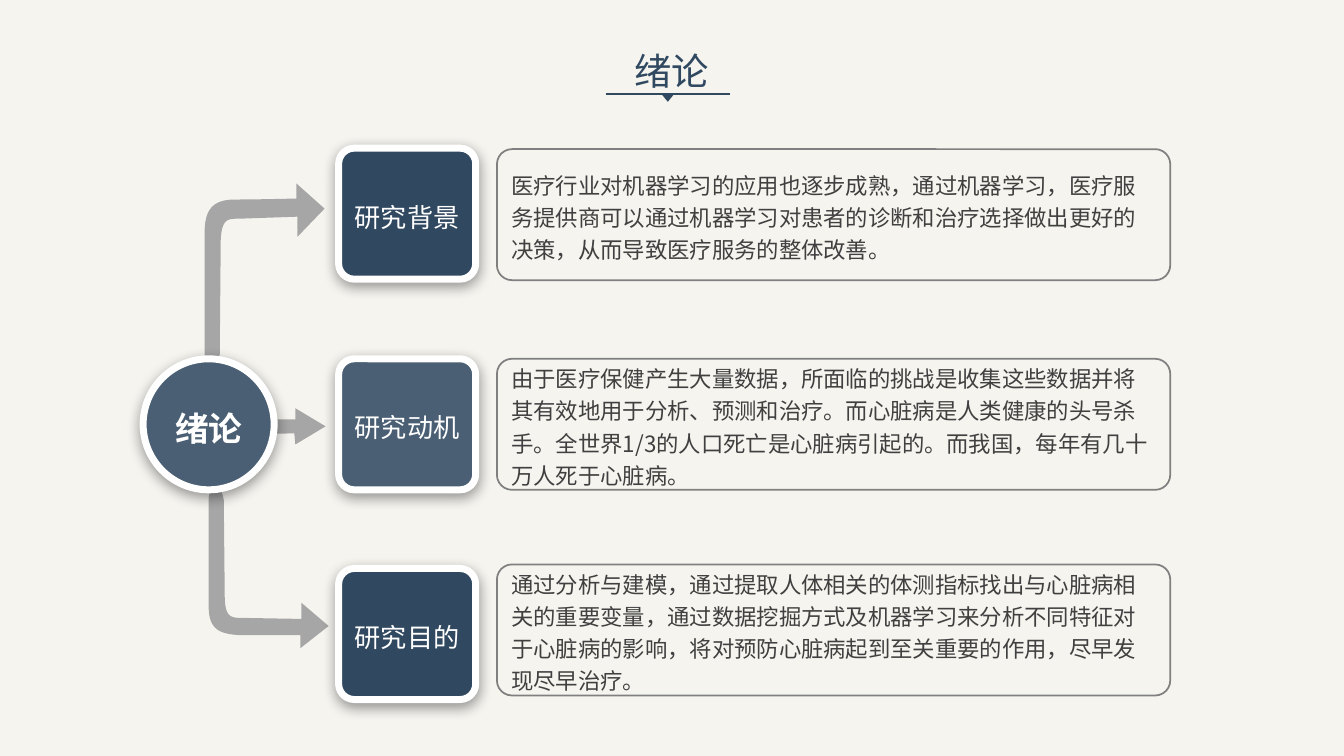
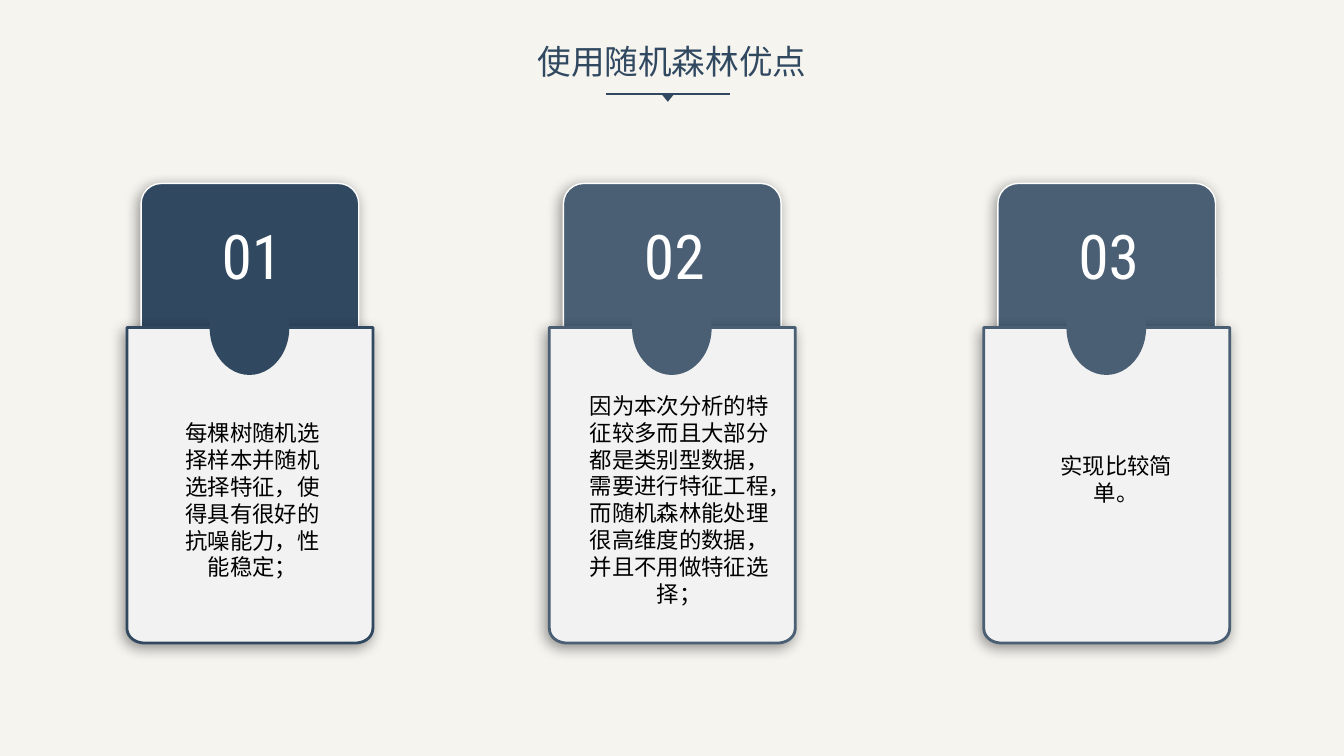
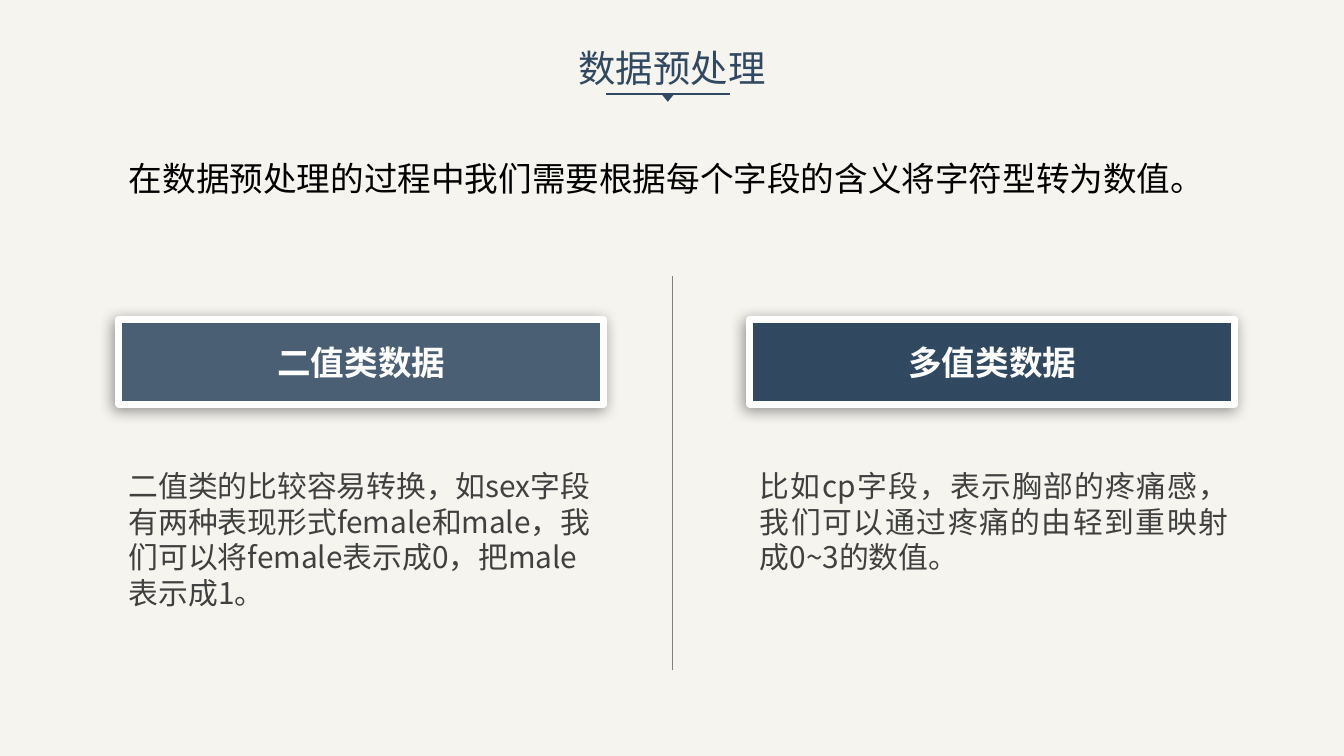
from lxml.etree import SubElement
from pptx import Presentation
from pptx.dml.color import RGBColor
from pptx.enum.shapes import MSO_CONNECTOR, MSO_SHAPE
from pptx.enum.text import MSO_ANCHOR, MSO_AUTO_SIZE, PP_ALIGN
from pptx.oxml.ns import qn
from pptx.util import Emu, Pt

COLUMNS, ROWS = 40, 22.5
CELL = 304800
NAVY, SLATE, GREY, ARROW_GREY = "304860", "4A5F74", "808080", "A6A6A6"
WHITE, BLACK, TEXT_GREY, PAPER, CARD_FILL = "FFFFFF", "000000", "404040", "F5F4EF", "F2F2F2"
CHINESE, NUMERALS, PLAIN = "Noto Sans CJK SC", "Roboto Condensed", "Calibri"
DOWN, DOWN_LEFT = 90, 135

TOP_ARROW = [
    (6.54, 10.59), (6.57, 7.14), (6.6, 6.51, 6.78, 6.51, 7.11, 6.51),
    (8.85, 6.45), (8.85, 7.05), (9.66, 6.21), (8.82, 5.46), (8.82, 5.91),
    (8.82, 5.91, 7.65, 5.94, 6.99, 5.94), (6.33, 5.94, 6.09, 6.24, 6.09, 6.93),
    (6.09, 10.65), (6.15, 11.25, 6.45, 11.19, 6.54, 10.59),
]
MIDDLE_ARROW = [
    (5.43, 12.96), (8.76, 12.9), (8.79, 13.23), (9.69, 12.69),
    (8.79, 12.15), (8.79, 12.48), (5.43, 12.48),
]
BOTTOM_ARROW = [
    (6.66, 14.88), (6.69, 17.85), (6.72, 18.39, 6.9, 18.39, 7.23, 18.39),
    (8.97, 18.42), (8.97, 17.94), (9.78, 18.63), (8.94, 19.29), (8.94, 18.9),
    (8.94, 18.9, 7.77, 18.9, 7.11, 18.9), (6.42, 18.87, 6.21, 18.63, 6.21, 18.03),
    (6.21, 14.82), (6.27, 14.31, 6.57, 14.34, 6.66, 14.88),
]
CARD_POCKET = [
    (0, 9.75), (7.32, 9.75), (7.32, 18.69), (7.32, 18.96, 7.08, 19.14, 6.78, 19.14),
    (0.54, 19.14), (0.24, 19.14, 0, 18.96, 0, 18.69),
]
TOPICS = [
    ("研究背景", NAVY, 4.41, 4.44,
     "医疗行业对机器学习的应用也逐步成熟，通过机器学习，医疗服务提供商可以通过机器学习对患者的诊断和治疗选择做出更好的决策，从而导致医疗服务的整体改善。"),
    ("研究动机", SLATE, 10.68, 10.68,
     "由于医疗保健产生大量数据，所面临的挑战是收集这些数据并将其有效地用于分析、预测和治疗。而心脏病是人类健康的头号杀手。全世界1/3的人口死亡是心脏病引起的。而我国，每年有几十万人死于心脏病。"),
    ("研究目的", NAVY, 16.92, 16.8,
     "通过分析与建模，通过提取人体相关的体测指标找出与心脏病相关的重要变量，通过数据挖掘方式及机器学习来分析不同特征对于心脏病的影响，将对预防心脏病起到至关重要的作用，尽早发现尽早治疗。"),
]
CARDS = [
    (3.78, NAVY, "01", (5.16, 12.33, 4.71, 5.16),
     "每棵树随机选择样本并随机选择特征，使得具有很好的抗噪能力，性能稳定；"),
    (16.35, SLATE, "02", (16.98, 11.52, 6.48, 6.78),
     "因为本次分析的特征较多而且大部分都是类别型数据，需要进行特征工程，而随机森林能处理很高维度的数据，并且不用做特征选择；"),
    (29.28, SLATE, "03", (31.02, 13.32, 4.41, 1.92), "实现比较简单。"),
]
DATA_KINDS = [
    (3.54, 14.34, SLATE, "二值类数据", PP_ALIGN.LEFT,
     "二值类的比较容易转换，如sex字段有两种表现形式female和male，我们可以将female表示成0，把male表示成1。"),
    (22.32, 14.55, NAVY, "多值类数据", PP_ALIGN.JUSTIFY,
     "比如cp字段，表示胸部的疼痛感，我们可以通过疼痛的由轻到重映射成0~3的数值。"),
]


def cells(*lengths):
    return [Emu(round(length * CELL)) for length in lengths]


def color(value):
    return RGBColor.from_string(value)


def write(shape, text, size, text_color, font=CHINESE, align=PP_ALIGN.LEFT,
          anchor=MSO_ANCHOR.TOP, bold=False, spacing=1.0):
    frame = shape.text_frame
    frame.text = text
    frame.word_wrap = True
    frame.auto_size = MSO_AUTO_SIZE.NONE
    frame.vertical_anchor = anchor
    paragraph = frame.paragraphs[0]
    paragraph.alignment = align
    paragraph.line_spacing = spacing
    paragraph.font.size = Pt(size)
    paragraph.font.bold = bold
    paragraph.font.color.rgb = color(text_color)
    paragraph.font.name = font
    defaults = paragraph._p.pPr.find(qn("a:defRPr"))
    SubElement(defaults, qn("a:ea")).set("typeface", CHINESE)


def paint(shape, fill=None, line=None, width=1, shadow=None):
    if fill:
        shape.fill.solid()
        shape.fill.fore_color.rgb = color(fill)
    else:
        shape.fill.background()
    if line:
        shape.line.color.rgb = color(line)
        shape.line.width = Pt(width)
    else:
        shape.line.fill.background()
    shape.shadow.inherit = False
    if shadow is not None:
        effects = shape.element.spPr.find(qn("a:effectLst"))
        outer = SubElement(effects, qn("a:outerShdw"), blurRad=str(Pt(10)), dist=str(Pt(3)),
                           dir=str(shadow * 60000), algn="ctr", rotWithShape="0")
        tint = SubElement(outer, qn("a:srgbClr"), val=BLACK)
        SubElement(tint, qn("a:alpha"), val="40000")


def add_preset(shapes, kind, box, corner=None, **style):
    shape = shapes.add_shape(kind, *cells(*box))
    if corner is not None:
        shape.adjustments[0] = corner
    paint(shape, **style)
    return shape


def add_text(shapes, box, text, size, text_color, **style):
    write(shapes.add_textbox(*cells(*box)), text, size, text_color, **style)


def add_line(shapes, ends, line, width):
    connector = shapes.add_connector(MSO_CONNECTOR.STRAIGHT, *cells(*ends))
    connector.line.color.rgb = color(line)
    connector.line.width = Pt(width)
    SubElement(connector.element.spPr, qn("a:effectLst"))
    return connector


def curve_points(start, curve, steps=12):
    points = [start, curve[:2], curve[2:4], curve[4:]]
    for step in range(1, steps + 1):
        t = step / steps
        weights = ((1 - t) ** 3, 3 * t * (1 - t) ** 2, 3 * t * t * (1 - t), t ** 3)
        yield tuple(sum(weight * point[axis] for weight, point in zip(weights, points))
                    for axis in (0, 1))


def add_outline(shapes, outline, left=0, **style):
    points = [outline[0]]
    for part in outline[1:]:
        points.extend([part] if len(part) == 2 else curve_points(points[-1], part))
    corners = [cells(x + left, y) for x, y in points]
    builder = shapes.build_freeform(*corners[0])
    builder.add_line_segments(corners[1:], close=True)
    paint(builder.convert_to_shape(), **style)


def set_up_layout(presentation, layout):
    background = presentation.slide_master.background.fill
    background.solid()
    background.fore_color.rgb = color(PAPER)


def add_title_mark(slide):
    rule = add_line(slide.shapes, (18.03, 2.79, 21.72, 2.79), NAVY, 1.5)
    pointer = add_preset(slide.shapes, MSO_SHAPE.ISOSCELES_TRIANGLE,
                         (19.68, 2.79, 0.39, 0.24), fill=NAVY)
    pointer.rotation = 180
    for mark in (rule, pointer):
        slide.slide_layout.shapes.element.append(mark.element)


def add_slide(presentation, layout, title, top, size):
    slide = presentation.slides.add_slide(layout)
    shape = slide.shapes.title
    shape.left, shape.top, shape.width, shape.height = cells(10, top, COLUMNS - 20, 1.65)
    write(shape, title, size, NAVY, align=PP_ALIGN.CENTER)
    return slide


def add_topic(shapes, name, fill, node_top, box_top, text):
    box = add_preset(shapes, MSO_SHAPE.ROUNDED_RECTANGLE, (14.79, box_top, 20.04, 3.9),
                     corner=0.115, line=GREY, width=1.25)
    write(box, text, 16, TEXT_GREY, anchor=MSO_ANCHOR.MIDDLE, spacing=1.2)
    node = add_preset(shapes, MSO_SHAPE.ROUNDED_RECTANGLE, (10.08, node_top, 4.08, 3.9),
                      corner=0.119, fill=fill, line=WHITE, width=5, shadow=DOWN)
    write(node, name, 18.7, WHITE, align=PP_ALIGN.CENTER, anchor=MSO_ANCHOR.MIDDLE, spacing=1.2)


def add_card(shapes, left, fill, number, text_box, text):
    add_preset(shapes, MSO_SHAPE.ROUNDED_RECTANGLE, (left + 0.42, 5.46, 6.48, 7.08),
               corner=0.093, fill=fill, line=WHITE, width=1, shadow=DOWN_LEFT)
    add_outline(shapes, CARD_POCKET, left, fill=CARD_FILL, line=fill, width=2, shadow=DOWN_LEFT)
    add_preset(shapes, MSO_SHAPE.OVAL, (left + 2.46, 8.34, 2.37, 2.82), fill=fill)
    add_text(shapes, (left + 1.8, 6.33, 3.84, 3), number, 44, WHITE,
             font=NUMERALS, align=PP_ALIGN.CENTER)
    add_text(shapes, text_box, text, 16, BLACK, font=PLAIN, align=PP_ALIGN.CENTER)


def add_data_kind(shapes, left, text_width, fill, name, align, text):
    banner = add_preset(shapes, MSO_SHAPE.RECTANGLE, (left, 9.51, 14.43, 2.52),
                        fill=fill, line=WHITE, width=5, shadow=DOWN_LEFT)
    write(banner, name, 24, WHITE, align=PP_ALIGN.CENTER, anchor=MSO_ANCHOR.MIDDLE, bold=True)
    add_text(shapes, (left, 13.77, text_width, 4.62), text, 21.3, TEXT_GREY, align=align)


def build_introduction(slide):
    for outline in (BOTTOM_ARROW, MIDDLE_ARROW, TOP_ARROW):
        add_outline(slide.shapes, outline, fill=ARROW_GREY)
    for topic in TOPICS:
        add_topic(slide.shapes, *topic)
    hub = add_preset(slide.shapes, MSO_SHAPE.OVAL, (4.26, 10.68, 3.9, 3.9),
                     fill=SLATE, line=WHITE, width=5, shadow=DOWN)
    write(hub, "绪论", 24, WHITE, align=PP_ALIGN.CENTER, anchor=MSO_ANCHOR.MIDDLE,
          bold=True, spacing=1.2)


def build_advantages(slide):
    for card in CARDS:
        add_card(slide.shapes.add_group_shape().shapes, *card)


def build_preprocessing(slide):
    add_line(slide.shapes, (COLUMNS / 2, 8.22, COLUMNS / 2, 19.95), GREY, 0.25)
    for kind in DATA_KINDS:
        add_data_kind(slide.shapes, *kind)
    add_text(slide.shapes, (3.54, 4.56, 33.33, 1.5),
             "在数据预处理的过程中我们需要根据每个字段的含义将字符型转为数值。",
             24, BLACK, font=PLAIN)


def main():
    presentation = Presentation()
    presentation.slide_width, presentation.slide_height = cells(COLUMNS, ROWS)
    layout = presentation.slide_layouts.get_by_name("Title Only")
    set_up_layout(presentation, layout)
    introduction = add_slide(presentation, layout, "绪论", 1.29, 26.7)
    add_title_mark(introduction)
    build_introduction(introduction)
    build_advantages(add_slide(presentation, layout, "使用随机森林优点", 1.08, 24))
    build_preprocessing(add_slide(presentation, layout, "数据预处理", 1.2, 26.7))
    presentation.save("out.pptx")


if __name__ == "__main__":
    main()
